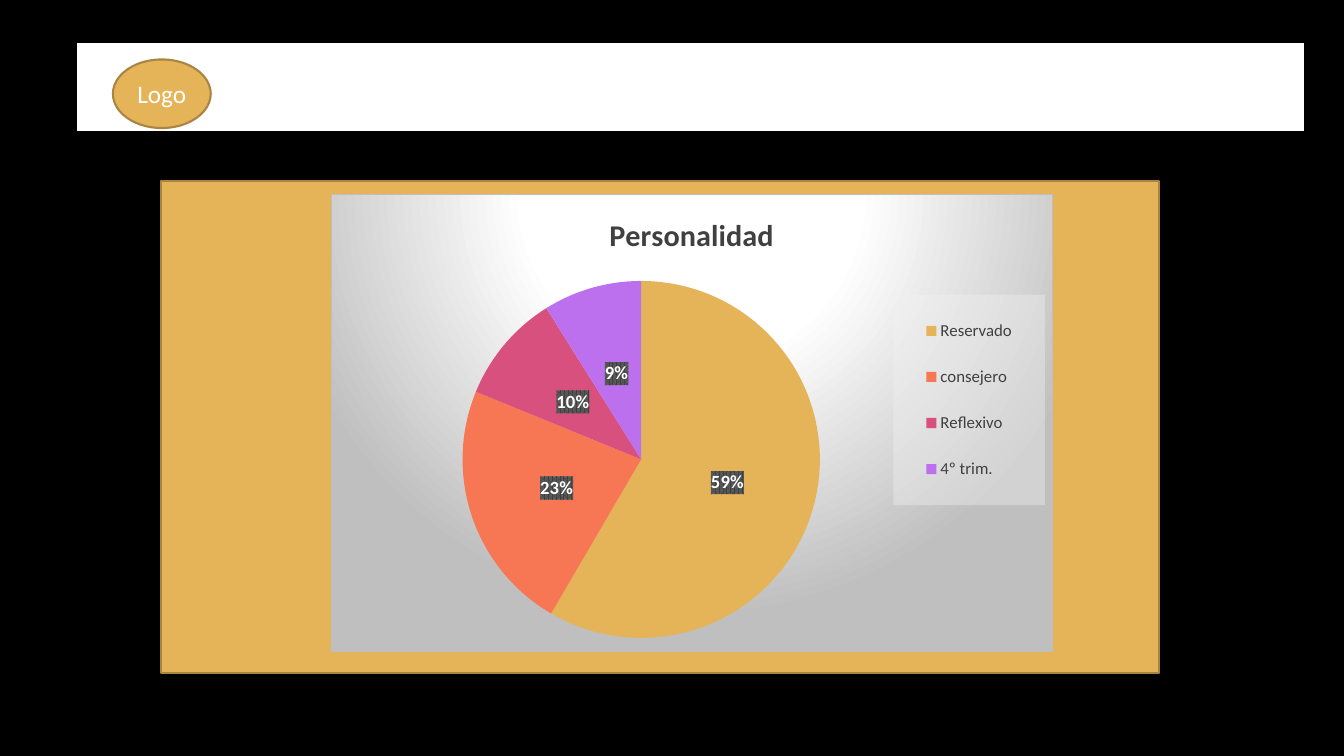
from dataclasses import dataclass

from lxml import etree
from pptx import Presentation, util as u
from pptx.chart.data import CategoryChartData
from pptx.dml.color import RGBColor
from pptx.enum import chart as ch, shapes, text
from pptx.oxml import parse_xml
from pptx.oxml.ns import nsdecls, qn

BLACK = RGBColor(0x00, 0x00, 0x00)
WHITE = RGBColor(0xFF, 0xFF, 0xFF)
GOLD = RGBColor(0xE5, 0xB4, 0x58)
BRONZE = RGBColor(0xA9, 0x85, 0x41)
CORAL = RGBColor(0xF7, 0x77, 0x54)
ROSE = RGBColor(0xD8, 0x50, 0x7E)
VIOLET = RGBColor(0xBC, 0x70, 0xEE)
GRAY = RGBColor(0x40, 0x40, 0x40)
SLATE = RGBColor(0x59, 0x59, 0x59)
SILVER = RGBColor(0xBF, 0xBF, 0xBF)
PALE = RGBColor(0xF2, 0xF2, 0xF2)
FONT = "Calibri"

WIDTH, HEIGHT = u.Inches(13.33), u.Inches(7.5)
COL, ROW = WIDTH / 100, HEIGHT / 100


@dataclass
class Area:
    left: float
    top: float
    width: float
    height: float

    def box(self) -> tuple[int, int, int, int]:
        return (round(self.left * COL), round(self.top * ROW),
                round(self.width * COL), round(self.height * ROW))


@dataclass
class Block:
    kind: int
    area: Area
    fill: RGBColor
    line: RGBColor
    weight: float
    label: str = ""


@dataclass
class Slice:
    name: str
    value: int
    color: RGBColor


BLOCKS = [
    Block(shapes.MSO_SHAPE.RECTANGLE, Area(5.4, 5.07, 91.97, 12.8), WHITE, BLACK, 6),
    Block(shapes.MSO_SHAPE.OVAL, Area(8.4, 7.87, 7.28, 9.07), GOLD, BRONZE, 1.5, "Logo"),
    Block(shapes.MSO_SHAPE.RECTANGLE, Area(12, 24, 74.27, 65.07), GOLD, BRONZE, 1.5),
]
SLICES = [
    Slice("Reservado", 59, GOLD),
    Slice("consejero", 23, CORAL),
    Slice("Reflexivo", 10, ROSE),
    Slice("4º trim.", 9, VIOLET),
]
CHART = Area(24.61, 25.6, 53.71, 60.67)
PIE = Area(0.18, 0.19, 0.5, 0.78)
KEY = Area(0.78, 0.22, 0.21, 0.46)


def style(font, size: float, color: RGBColor, bold: bool = False) -> None:
    font.name, font.size, font.bold = FONT, u.Pt(size), bold
    font.color.rgb = color


def draw(slide, block: Block) -> None:
    shape = slide.shapes.add_shape(block.kind, *block.area.box())
    shape.shadow.inherit = False
    shape.fill.solid()
    shape.fill.fore_color.rgb = block.fill
    shape.line.color.rgb = block.line
    shape.line.width = u.Pt(block.weight)
    if block.label:
        frame = shape.text_frame
        frame.text = block.label
        frame.vertical_anchor = text.MSO_ANCHOR.MIDDLE
        para = frame.paragraphs[0]
        para.alignment = text.PP_ALIGN.CENTER
        style(para.runs[0].font, 18, WHITE)


def tint(color: RGBColor, extra: str = "") -> str:
    return f'<a:srgbClr val="{color}">{extra}</a:srgbClr>'


def paint(node: etree._Element, fill: str, line: str = "<a:ln><a:noFill/></a:ln>") -> None:
    for old in node.findall(qn("c:spPr")):
        node.remove(old)
    node.find(qn("c:txPr")).addprevious(
        parse_xml(f'<c:spPr {nsdecls("c", "a")}>{fill}{line}</c:spPr>'))


def place(node: etree._Element, area: Area, index: int, inner: str = "") -> None:
    for old in node.findall(qn("c:layout")):
        node.remove(old)
    node.insert(index, parse_xml(
        f'<c:layout {nsdecls("c")}><c:manualLayout>{inner}'
        '<c:xMode val="edge"/><c:yMode val="edge"/>'
        f'<c:x val="{area.left}"/><c:y val="{area.top}"/>'
        f'<c:w val="{area.width}"/><c:h val="{area.height}"/>'
        '</c:manualLayout></c:layout>'))


def plot(slide) -> None:
    data = CategoryChartData()
    data.categories = [part.name for part in SLICES]
    data.add_series("Series 1", [part.value for part in SLICES])
    chart = slide.shapes.add_chart(ch.XL_CHART_TYPE.PIE, *CHART.box(), data).chart
    style(chart.font, 10, WHITE)

    chart.has_title = True
    title = chart.chart_title
    title.include_in_layout = False
    title.text_frame.text = "Personalidad"
    style(title.text_frame.paragraphs[0].runs[0].font, 21.6, GRAY, True)

    chart.has_legend = True
    key = chart.legend
    key.position = ch.XL_LEGEND_POSITION.RIGHT
    key.include_in_layout = False
    style(key.font, 12, GRAY)

    pie = chart.plots[0]
    pie.vary_by_categories = True
    series = pie.series[0]
    for index, part in enumerate(SLICES):
        face = series.points[index].format
        face.fill.solid()
        face.fill.fore_color.rgb = part.color
        face.line.fill.background()

    tags = series.data_labels
    tags.show_value = True
    tags.number_format = '0"%"'
    tags.number_format_is_linked = False
    tags.position = ch.XL_LABEL_POSITION.CENTER
    style(tags.font, 13.3, WHITE, True)

    space = chart._chartSpace
    legend = space.find(".//" + qn("c:legend"))
    place(space.find(".//" + qn("c:plotArea")), PIE, 0, '<c:layoutTarget val="inner"/>')
    place(legend, KEY, 1)
    stops = "".join(f'<a:gs pos="{pos * 1000}">{tint(color)}</a:gs>'
                    for pos, color in ((0, WHITE), (39, WHITE), (100, SILVER)))
    paint(space,
          f'<a:gradFill><a:gsLst>{stops}</a:gsLst><a:path path="circle">'
          '<a:fillToRect l="50000" t="-80000" r="50000" b="180000"/></a:path></a:gradFill>',
          f'<a:ln w="{u.Pt(0.75)}"><a:solidFill>{tint(SILVER)}</a:solidFill></a:ln>')
    veil = tint(PALE, '<a:alpha val="39000"/>')
    paint(legend, f"<a:solidFill>{veil}</a:solidFill>")
    paint(space.find(".//" + qn("c:ser")).find(qn("c:dLbls")),
          f'<a:pattFill prst="pct75"><a:fgClr>{tint(GRAY)}</a:fgClr>'
          f'<a:bgClr>{tint(SLATE)}</a:bgClr></a:pattFill>')


def main() -> None:
    deck = Presentation()
    deck.slide_width, deck.slide_height = WIDTH, HEIGHT
    slide = deck.slides.add_slide(deck.slide_layouts[6])
    slide.background.fill.solid()
    slide.background.fill.fore_color.rgb = BLACK
    for block in BLOCKS:
        draw(slide, block)
    plot(slide)
    deck.save("out.pptx")


if __name__ == "__main__":
    main()
